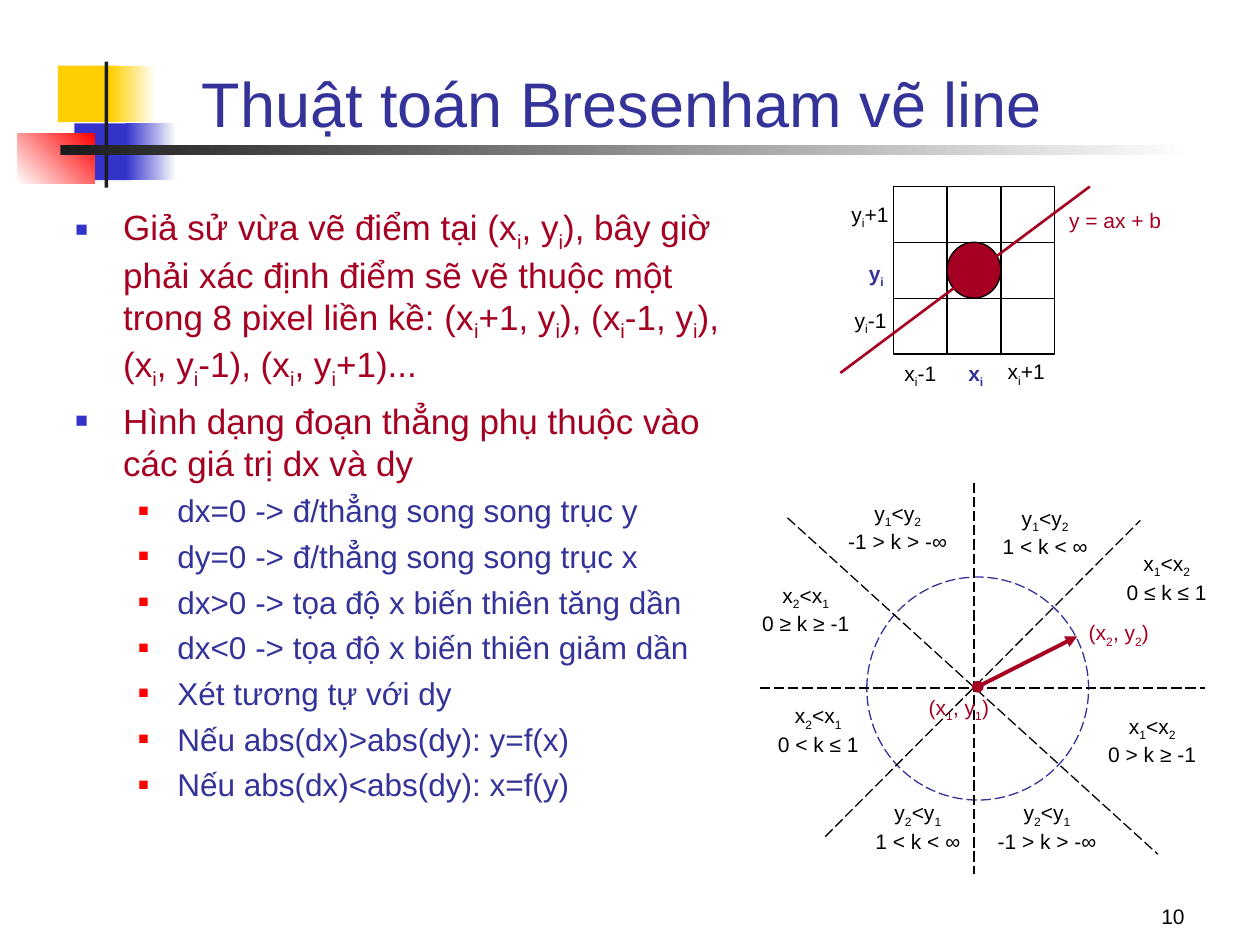
import pptx
import pptx.dml.color
import pptx.enum.dml
import pptx.enum.shapes
import pptx.enum.text
import pptx.oxml
import pptx.oxml.ns
import pptx.util

Inches, Pt = pptx.util.Inches, pptx.util.Pt
SHAPE = pptx.enum.shapes.MSO_SHAPE
ALIGN = pptx.enum.text.PP_ALIGN
ANCHOR = pptx.enum.text.MSO_ANCHOR
DASH = pptx.enum.dml.MSO_LINE.LONG_DASH

COLORS = {
    "black": "000000", "white": "FFFFFF", "ink": "1C1C1C", "yellow": "FFCF01",
    "blue": "3333CC", "navy": "333399", "red": "FF0000", "crimson": "A50021",
}


def rgb(name):
    return pptx.dml.color.RGBColor.from_string(COLORS[name])


class SlideBuilder:
    font = "Arial"

    def __init__(self, slide):
        self.s = slide

    def add_runs(self, p, text, size, color, bold=False):
        """Fill a paragraph; the character after each underscore is a subscript."""
        first, *rest = text.split("_")
        pieces = [(first, False)]
        for part in rest:
            pieces += [(part[0], True), (part[1:], False)]
        for piece, lowered in pieces:
            if not piece:
                continue
            r = p.add_run()
            r.text = piece
            r.font.name, r.font.size, r.font.bold = self.font, Pt(size), bold
            r.font.color.rgb = rgb(color)
            if lowered:
                r._r.get_or_add_rPr().set("baseline", "-25000")

    def title(self, box, text):
        sp = self.s.shapes.title
        sp.left, sp.top, sp.width, sp.height = map(Inches, box)
        tf = sp.text_frame
        tf.auto_size = pptx.enum.text.MSO_AUTO_SIZE.NONE
        tf.vertical_anchor = ANCHOR.BOTTOM
        tf.paragraphs[0].alignment = ALIGN.LEFT
        self.add_runs(tf.paragraphs[0], text, 36, "navy")

    def text_box(self, box):
        tf = self.s.shapes.add_textbox(*map(Inches, box)).text_frame
        tf.word_wrap = True
        return tf

    def label(self, box, *lines, color="black", bold=False,
              align=ALIGN.CENTER, anchor=ANCHOR.TOP):
        tf = self.text_box(box)
        tf.vertical_anchor = anchor
        for i, line in enumerate(lines):
            p = tf.add_paragraph() if i else tf.paragraphs[0]
            p.alignment = align
            self.add_runs(p, line, 12, color, bold)

    def bullets(self, box, items, levels):
        """Write (level, text) items, styled by the settings of their level."""
        tf = self.text_box(box)
        for i, (level, text) in enumerate(items):
            style = levels[level]
            p = tf.add_paragraph() if i else tf.paragraphs[0]
            p.level, p.line_spacing, p.space_before = level, 1.0, Pt(style["before"])
            pPr = p._p.get_or_add_pPr()
            pPr.set("marL", str(Inches(style["margin"])))
            pPr.set("indent", str(-Inches(style["hang"])))
            ns = pptx.oxml.ns.nsdecls("a")
            for xml in (
                f'<a:buClr {ns}><a:srgbClr val="{COLORS[style["bullet"]]}"/></a:buClr>',
                f'<a:buSzPct {ns} val="{style["percent"] * 1000}"/>',
                f'<a:buFont {ns} typeface="{self.font}"/>',
                f'<a:buChar {ns} char="■"/>',
            ):
                pPr.append(pptx.oxml.parse_xml(xml))
            self.add_runs(p, text, style["size"], style["color"])

    def shape(self, kind, box, fill, fade=None, angle=0, line=None, dash=None):
        """Draw a preset shape; fade names the colour its gradient ends in."""
        sp = self.s.shapes.add_shape(kind, *map(Inches, box))
        sp.shadow.inherit = False
        if fade:
            sp.fill.gradient()
            sp.fill.gradient_angle = angle
            for stop, color in zip(sp.fill.gradient_stops, (fill, fade)):
                stop.color.rgb = rgb(color)
        else:
            sp.fill.solid()
            sp.fill.fore_color.rgb = rgb(fill)
        if line:
            self.stroke(sp.line, line, 0.75, dash)
        else:
            sp.line.fill.background()

    def stroke(self, line, color, width, dash=None):
        line.color.rgb = rgb(color)
        line.width = Pt(width)
        if dash:
            line.dash_style = dash

    def line(self, start, end, color="black", width=0.75, dash=None, ends=()):
        """Draw a straight line; ends holds (tag, type) pairs of line ends."""
        c = self.s.shapes.add_connector(
            pptx.enum.shapes.MSO_CONNECTOR.STRAIGHT, *map(Inches, (*start, *end)))
        self.stroke(c.line, color, width, dash)
        ns = pptx.oxml.ns.nsdecls("a")
        for tag, kind in ends:
            c.line._get_or_add_ln().append(
                pptx.oxml.parse_xml(f'<a:{tag} {ns} type="{kind}"/>'))
        c._element.spPr.append(pptx.oxml.parse_xml(f"<a:effectLst {ns}/>"))


def draw_decoration(b):
    rect = SHAPE.RECTANGLE
    b.shape(rect, (0.46, 0.52, 0.48, 0.45), "yellow")
    b.shape(rect, (0.88, 0.52, 0.36, 0.45), "yellow", fade="white")
    b.shape(rect, (0.59, 0.98, 0.46, 0.45), "blue")
    b.shape(rect, (1, 0.98, 0.4, 0.45), "blue", fade="white")
    b.shape(rect, (0.14, 1.06, 0.61, 0.4), "white", fade="red", angle=45)
    b.shape(rect, (0.83, 0.49, 0.03, 1), "ink")
    b.shape(rect, (0.48, 1.15, 9, 0.08), "ink", fade="white")


def draw_body(b):
    levels = [
        dict(margin=0.38, hang=0.38, before=5, size=20, color="crimson",
             bullet="blue", percent=60),
        dict(margin=0.81, hang=0.31, before=4.5, size=18, color="navy",
             bullet="red", percent=55),
    ]
    b.bullets((0.5, 1.58, 5.5, 5.25), [
        (0, "Giả sử vừa vẽ điểm tại (x_i, y_i), bây giờ phải xác định điểm sẽ vẽ "
            "thuộc một trong 8 pixel liền kề: (x_i+1, y_i), (x_i-1, y_i), "
            "(x_i, y_i-1), (x_i, y_i+1)..."),
        (0, "Hình dạng đoạn thẳng phụ thuộc vào các giá trị dx và dy"),
        (1, "dx=0 -> đ/thẳng song song trục y"),
        (1, "dy=0 -> đ/thẳng song song trục x"),
        (1, "dx>0 -> tọa độ x biến thiên tăng dần"),
        (1, "dx<0 -> tọa độ x biến thiên giảm dần"),
        (1, "Xét tương tự với dy"),
        (1, "Nếu abs(dx)>abs(dy): y=f(x)"),
        (1, "Nếu abs(dx)<abs(dy): x=f(y)"),
    ], levels)


def draw_pixel_grid(b):
    b.label((8.34, 1.6, 1.02, 0.36), "y = ax + b", color="crimson")
    b.label((7.46, 2.81, 0.57, 0.35), "x_i", color="navy", bold=True)
    b.label((7.86, 2.8, 0.57, 0.36), "x_i+1")
    b.label((7.02, 2.81, 0.57, 0.35), "x_i-1")
    b.label((6.73, 2.02, 0.45, 0.35), "y_i", color="navy", bold=True)
    b.label((6.62, 1.55, 0.57, 0.35), "y_i+1")
    b.label((6.57, 2.39, 0.68, 0.36), "y_i-1")

    left, top, width, height = 7.09, 1.48, 1.28, 1.33
    cell_w, cell_h = width / 3, height / 3
    b.shape(SHAPE.RECTANGLE, (left, top, width, height), "white", line="black")
    for i in (1, 2):
        x, y = left + i * cell_w, top + i * cell_h
        b.line((x, top), (x, top + height))
        b.line((left, y), (left + width, y))
    b.shape(SHAPE.OVAL, (left + cell_w, top + cell_h, cell_w, cell_h),
            "crimson", line="black")
    b.line((6.67, 2.96), (8.65, 1.48), "crimson", 1.5)


def draw_octants(b):
    b.shape(SHAPE.OVAL, (6.88, 4.58, 1.76, 1.77), "white", line="navy", dash=DASH)
    for start, end in [((6.03, 5.46), (9.56, 5.46)), ((7.73, 3.83), (7.73, 6.94)),
                       ((6.55, 6.64), (9.05, 4.13)), ((6.25, 4.11), (9.19, 6.78))]:
        b.line(start, end, dash=DASH)
    b.line((7.76, 5.45), (8.55, 5.05), "crimson", 2.25,
           ends=[("headEnd", "oval"), ("tailEnd", "triangle")])
    b.label((8.38, 4.87, 1, 0.42), "(x_2, y_2)", color="crimson")
    b.label((7.17, 5.46, 0.88, 0.37), "(x_1, y_1)", color="crimson")
    for left, top, width, order, slope in [
        (8.68, 4.32, 1.16, "x_1<x_2", "0 ≤ k ≤ 1"),
        (8.58, 5.61, 1.13, "x_1<x_2", "0 > k ≥ -1"),
        (7.65, 6.3, 1.32, "y_2<y_1", "-1 > k > -∞"),
        (6.76, 6.3, 1.05, "y_2<y_1", "1 < k < ∞"),
        (5.91, 5.53, 1.17, "x_2<x_1", "0 < k ≤ 1"),
        (5.88, 4.57, 1.03, "x_2<x_1", "0 ≥ k ≥ -1"),
        (6.59, 3.92, 1.07, "y_1<y_2", "-1 > k > -∞"),
        (7.75, 3.96, 1.09, "y_1<y_2", "1 < k < ∞"),
    ]:
        b.label((left, top, width, 0.59), order, slope)


def main():
    prs = pptx.Presentation()
    prs.slide_width, prs.slide_height = Inches(10), Inches(7.5)
    b = SlideBuilder(prs.slides.add_slide(prs.slide_layouts[5]))
    draw_decoration(b)
    b.label((8.08, 6.92, 1.42, 0.5), "10", align=ALIGN.RIGHT, anchor=ANCHOR.BOTTOM)
    b.title((1.5, 0.08, 8.36, 1.08), "Thuật toán Bresenham vẽ line")
    draw_body(b)
    draw_pixel_grid(b)
    draw_octants(b)
    prs.save("out.pptx")


if __name__ == "__main__":
    main()
